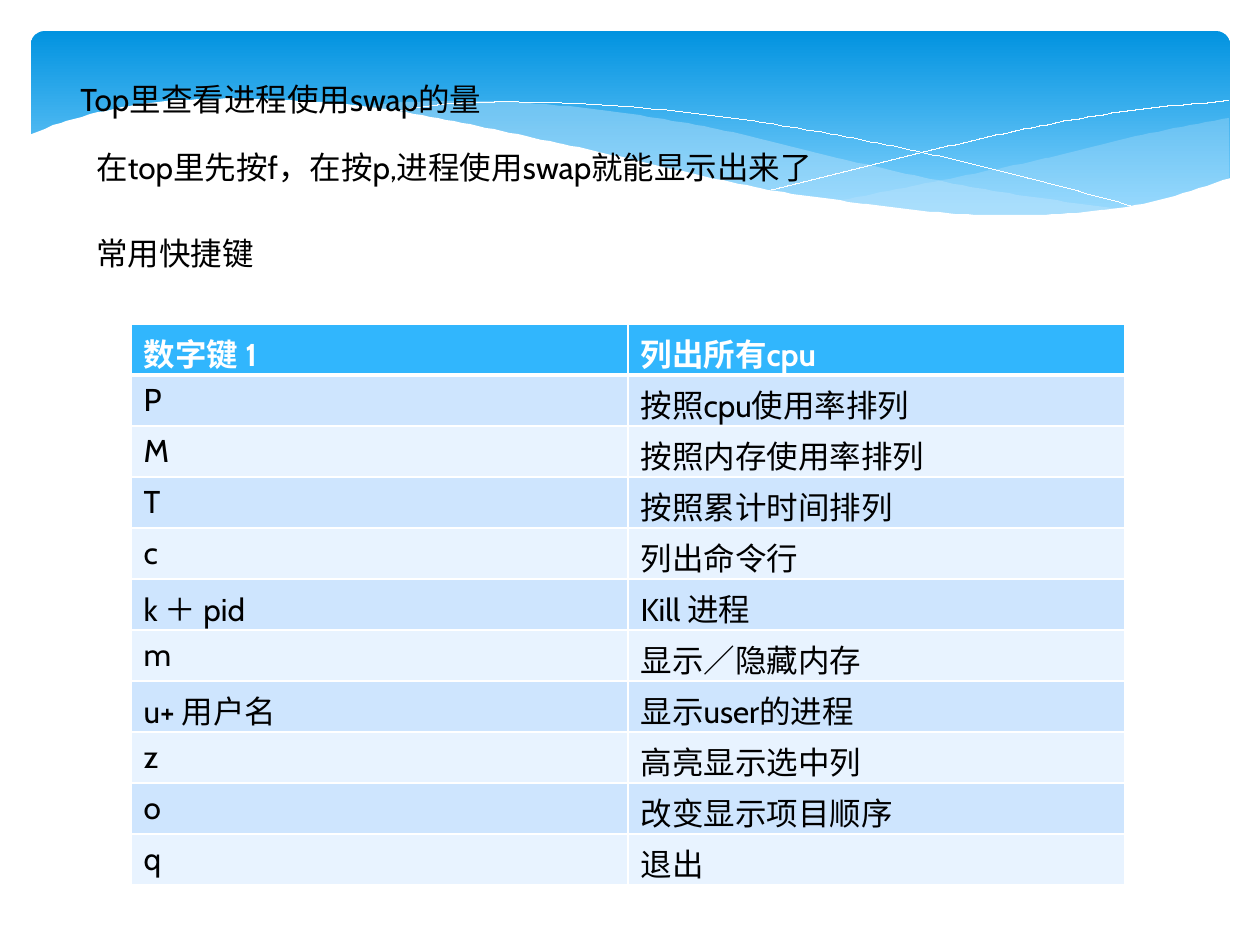
from lxml.etree import SubElement
from pptx import Presentation
from pptx.dml.color import RGBColor
from pptx.enum.shapes import MSO_SHAPE
from pptx.enum.text import MSO_AUTO_SIZE
from pptx.oxml.ns import qn
from pptx.util import Emu, Inches, Pt

PX = 7257  # EMU in one px, at 126 px to the inch
STEP = 8  # px between two points of a curve
FONT = "Cabin"
BLACK = RGBColor(0x00, 0x00, 0x00)
WHITE = RGBColor(0xFF, 0xFF, 0xFF)
DEEP = RGBColor(0x02, 0x93, 0xE0)
LIGHT = RGBColor(0x83, 0xD3, 0xFE)
PALE = RGBColor(0xC6, 0xE7, 0xFC)
HEAD = RGBColor(0x31, 0xB6, 0xFD)
BANDS = [RGBColor(0xE8, 0xF3, 0xFF), RGBColor(0xCE, 0xE5, 0xFE)]


def curve(*knots):
    """Points of a smooth curve (cubic Hermite) that runs left to right through the knots."""
    slopes = []
    for i in range(len(knots)):
        (xa, ya), (xb, yb) = knots[max(i - 1, 0)], knots[min(i + 1, len(knots) - 1)]
        slopes.append((yb - ya) / (xb - xa))
    points = []
    for i, (xa, ya) in enumerate(knots[:-1]):
        xb, yb = knots[i + 1]
        span = xb - xa
        for x in range(xa, xb, STEP):
            t = (x - xa) / span
            ease = t * t * (3 - 2 * t)
            bend = t * (1 - t) * ((1 - t) * slopes[i] - t * slopes[i + 1])
            points.append((x, ya + (yb - ya) * ease + span * bend))
    return points + [knots[-1]]


def style(frame, color, bold=False):
    for run in frame.paragraphs[0].runs:
        run.font.name = FONT
        run.font.size = Pt(18)
        run.font.bold = bold
        run.font.color.rgb = color


prs = Presentation()
prs.slide_width, prs.slide_height = Inches(10), Inches(7.5)
slide = prs.slides.add_slide(prs.slide_layouts[6])
shapes = slide.shapes

# Blue banner
banner = shapes.add_shape(MSO_SHAPE.ROUNDED_RECTANGLE, 31 * PX, 31 * PX, 1199 * PX, 197 * PX)
banner.adjustments[0] = 0.07
banner.shadow.inherit = False
banner.line.fill.background()
banner.fill.gradient()
banner.fill.gradient_angle = 270
for stop, color, place in zip(banner.fill.gradient_stops, (DEEP, LIGHT), (0, 0.9)):
    stop.color.rgb = color
    stop.position = place

# Edges of the two pale waves, which meet at both tips
right_top = curve((833, 202), (918, 185), (1048, 158), (1142, 135), (1229, 118))
right_low = curve((833, 202), (906, 210), (969, 215), (1026, 217), (1099, 211),
                  (1178, 197), (1229, 178))
mid_top = curve((360, 108), (394, 103), (455, 101), (529, 103), (616, 112),
                (717, 129), (842, 159), (977, 188), (1125, 210))
mid_low = curve((360, 108), (431, 118), (538, 139), (668, 170), (799, 197),
                (910, 212), (1003, 218), (1056, 217), (1125, 210))

# Thin lines that cross, and the white wave that cuts the banner
fall = curve((389, 113), (422, 107), (471, 103), (546, 103), (643, 108),
             (766, 123), (916, 151), (1047, 183), (1143, 209))
rise = curve((772, 190), (876, 164), (1016, 131), (1128, 111), (1229, 101))
crest = curve((29, 135), (66, 121), (134, 105), (203, 99), (290, 100), (398, 111),
              (563, 144), (760, 188), (867, 204), (959, 214), (1037, 215),
              (1103, 210), (1159, 200), (1231, 178))
floor = [(29, 282), (1231, 282)]

# Waves from back to front: top edge, low edge (none for a line), fill, opacity in percent
waves = [
    (right_top, right_low, PALE, 29),
    (mid_top, mid_low, PALE, 40),
    (fall, [], None, 100),
    (rise, [], None, 100),
    (crest, floor, WHITE, 100)]
for top, low, color, alpha in waves:
    points = top + low[::-1]
    pen = shapes.build_freeform(*points[0], scale=PX)
    pen.add_line_segments(points[1:], close=bool(low))
    wave = pen.convert_to_shape()
    wave.shadow.inherit = False
    if low:
        wave.line.fill.background()
        wave.fill.solid()
        wave.fill.fore_color.rgb = color
        tint = wave.element.spPr.find(".//" + qn("a:srgbClr"))
        SubElement(tint, qn("a:alpha")).set("val", str(alpha * 1000))
    else:
        wave.fill.background()
        wave.line.color.rgb = WHITE
        wave.line.width = Emu(1)  # hairline

# Headings
notes = [
    (68, 74, 869, "Top里查看进程使用swap的量"),
    (84, 142, 1106, "在top里先按f，在按p,进程使用swap就能显示出来了"),
    (84, 228, 291, "常用快捷键")]
for left, top, width, text in notes:
    box = shapes.add_textbox(left * PX, top * PX, width * PX, 50 * PX)
    frame = box.text_frame
    frame.word_wrap = True
    frame.auto_size = MSO_AUTO_SIZE.SHAPE_TO_FIT_TEXT
    frame.text = text
    style(frame, BLACK)

# Table of shortcut keys, with a thick rule under the header
keys = [
    ("数字键 1", "列出所有cpu"),
    ("P", "按照cpu使用率排列"),
    ("M", "按照内存使用率排列"),
    ("T", "按照累计时间排列"),
    ("c", "列出命令行"),
    ("k ＋ pid", "Kill 进程"),
    ("m", "显示／隐藏内存"),
    ("u+ 用户名", "显示user的进程"),
    ("z", "高亮显示选中列"),
    ("o", "改变显示项目顺序"),
    ("q", "退出")]
grid = shapes.add_table(len(keys), 2, 131 * PX, 324 * PX, 994 * PX, len(keys) * 51 * PX)
for r, row in enumerate(keys):
    for c, text in enumerate(row):
        cell = grid.table.cell(r, c)
        cell.text_frame.text = text
        style(cell.text_frame, BLACK if r else WHITE, bold=r == 0)
        props = cell._tc.get_or_add_tcPr()
        for side in ("lnL", "lnR", "lnT", "lnB"):
            thick = (r, side) in [(0, "lnB"), (1, "lnT")]
            edge = SubElement(props, qn("a:" + side), w=str(Pt(3 if thick else 1)))
            ink = SubElement(edge, qn("a:solidFill"))
            SubElement(ink, qn("a:srgbClr"), val=str(WHITE))
        cell.fill.solid()
        cell.fill.fore_color.rgb = BANDS[r % 2] if r else HEAD

prs.save("out.pptx")
